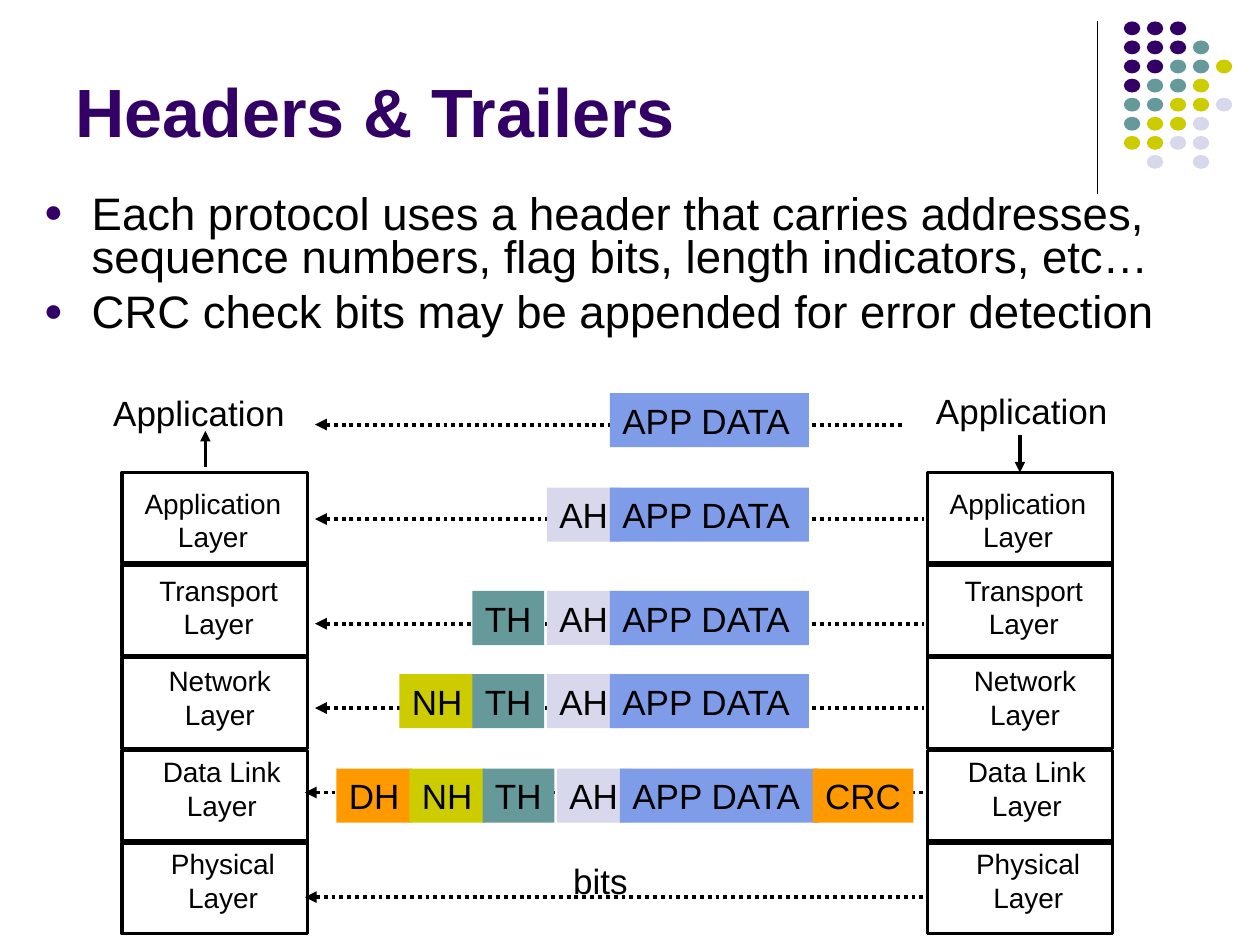
from typing import NamedTuple, Optional

from lxml import etree
from pptx import Presentation, util as u
from pptx.dml.color import RGBColor
from pptx.enum import dml, shapes, text
from pptx.oxml.ns import qn

BLACK = RGBColor(0x00, 0x00, 0x00)
PURPLE = RGBColor(0x33, 0x00, 0x66)
TEAL = RGBColor(0x66, 0x99, 0x99)
LIME = RGBColor(0xCC, 0xCC, 0x00)
LILAC = RGBColor(0xD8, 0xD8, 0xEC)
BLUE = RGBColor(0x7E, 0x9C, 0xE8)
ORANGE = RGBColor(0xFF, 0x99, 0x00)

BOX_W, BOX_H, BOX_TOP = 1.47, 0.72, 3.75
BOX_STEP = 2.94 / 4
LEFT_COL, RIGHT_COL = 0.97, 7.36
DOT_DX, DOT_DY = 0.73 / 4, 1.06 / 7


class Layer(NamedTuple):
    name: str
    dx: float  # label offset from the left of its column
    top: float
    width: float


class Field(NamedTuple):
    left: float
    width: float
    fill: RGBColor


class Row(NamedTuple):
    top: float
    names: list[str]
    shift: float = 0


class Flow(NamedTuple):
    y: float
    left: float = 2.5
    right: float = 7.33


LAYERS = [
    Layer("Application", 0.05, 3.81, 1.34),
    Layer("Transport", 0.17, 4.5, 1.19),
    Layer("Network", 0.24, 5.22, 1.07),
    Layer("Data Link", 0.2, 5.94, 1.18),
    Layer("Physical", 0.26, 6.67, 1.08),
]
FIELDS = {
    "DH": Field(2.59, 0.6, ORANGE),
    "NH": Field(3.17, 0.6, LIME),
    "TH": Field(3.75, 0.57, TEAL),
    "AH": Field(4.34, 0.59, LILAC),
    "APP DATA": Field(4.84, 1.58, BLUE),
    "CRC": Field(6.37, 0.8, ORANGE),
}
ROWS = [
    Row(3.12, ["APP DATA"]),
    Row(3.87, ["AH", "APP DATA"]),
    Row(4.69, ["TH", "AH", "APP DATA"]),
    Row(5.35, ["NH", "TH", "AH", "APP DATA"]),
    Row(6.1, list(FIELDS), 0.08),
]
FLOWS = [Flow(3.37, right=7.17), Flow(4.12), Flow(4.95), Flow(5.62),
         Flow(6.29, 2.42), Flow(7.12, 2.42)]

DOTS = ["PPP", "PPPT", "PPTTY", "PTTY", "TTYYL", "TYYL", "YYLL", " L L"]
HUES = {"P": PURPLE, "T": TEAL, "Y": LIME, "L": LILAC}


def inch(*vals: float) -> list[u.Length]:
    return [u.Inches(v) for v in vals]


def apply(item, form: dict) -> None:
    for key, val in form.items():
        setattr(item, key, val)


def write(frame, lines: list[str], size: float, color=BLACK, bold=False,
          **form) -> None:
    frame.text = "\n".join(lines)
    for para in frame.paragraphs:
        apply(para, form)
        apply(para.font, {"name": "Arial", "size": u.Pt(size), "bold": bold})
        para.font.color.rgb = color


def fit(frame) -> None:
    apply(frame, {"word_wrap": False, "vertical_anchor": text.MSO_ANCHOR.TOP,
                  "auto_size": text.MSO_AUTO_SIZE.SHAPE_TO_FIT_TEXT})


def label(tree, lines: list[str], at: tuple, size: float, align) -> None:
    frame = tree.add_textbox(*inch(*at)).text_frame
    fit(frame)
    write(frame, lines, size, alignment=align)


def solid(tree, kind, at: tuple, fill: Optional[RGBColor] = None):
    """Add a shape: filled without an outline, or hollow with a black one."""
    shape = tree.add_shape(kind, *inch(*at))
    shape.shadow.inherit = False
    if fill is None:
        shape.fill.background()
        shape.line.color.rgb = BLACK
        shape.line.width = u.Pt(2)
    else:
        shape.fill.solid()
        shape.fill.fore_color.rgb = fill
        shape.line.fill.background()
    return shape


def rule(tree, ends: tuple, width: float, tip: str = "", dash=None):
    line = tree.add_connector(shapes.MSO_CONNECTOR.STRAIGHT, *inch(*ends))
    line.line.color.rgb = BLACK
    apply(line.line, {"width": u.Pt(width), "dash_style": dash})
    props = line._element.spPr
    if tip:
        etree.SubElement(props.find(qn("a:ln")), qn(f"a:{tip}"), type="triangle")
    etree.SubElement(props, qn("a:effectLst"))
    return line


def bullet(para) -> None:
    props = para._p.get_or_add_pPr()
    for key, val in {"marL": 0.38, "indent": -0.38}.items():
        props.set(key, str(u.Inches(val)))
    hue = etree.SubElement(props, qn("a:buClr"))
    etree.SubElement(hue, qn("a:srgbClr"), val=str(PURPLE))
    etree.SubElement(props, qn("a:buSzPct"), val="70000")
    etree.SubElement(props, qn("a:buFont"), typeface="Arial")
    etree.SubElement(props, qn("a:buChar"), char="●")


def stack(tree, left: float) -> list:
    """Draw one column of layers and return its boxes."""
    boxes = [solid(tree, shapes.MSO_SHAPE.RECTANGLE,
                   (left, BOX_TOP + i * BOX_STEP, BOX_W, BOX_H))
             for i in range(len(LAYERS))]
    for lay in LAYERS:
        label(tree, [lay.name, "Layer"], (left + lay.dx, lay.top, lay.width, 0.63),
              16, text.PP_ALIGN.CENTER)
    return boxes


def packet(tree, row: Row) -> None:
    group = tree.add_group_shape().shapes
    for name in row.names:
        field = FIELDS[name]
        at = (field.left + row.shift, row.top, field.width, 0.43)
        frame = solid(group, shapes.MSO_SHAPE.RECTANGLE, at, field.fill).text_frame
        fit(frame)
        write(frame, [name], 20, alignment=text.PP_ALIGN.LEFT)


def main() -> None:
    deck = Presentation()
    apply(deck, {"slide_width": u.Inches(10), "slide_height": u.Inches(7.5)})
    slide = deck.slides.add_slide(deck.slide_layouts[5])
    tree = slide.shapes
    left = text.PP_ALIGN.LEFT

    # Corner decoration
    rule(tree, (8.71, 0.17, 8.71, 1.54), 0.75)
    group = tree.add_group_shape().shapes
    for i, codes in enumerate(DOTS):
        for j, code in enumerate(codes):
            if code in HUES:
                at = (8.92 + j * DOT_DX, 0.17 + i * DOT_DY, 0.13, 0.11)
                solid(group, shapes.MSO_SHAPE.OVAL, at, HUES[code])

    # Title
    title = tree.title
    apply(title, dict(zip(("left", "top", "width", "height"),
                          inch(0.5, 0.13, 8.25, 1.12))))
    apply(title.text_frame, {"vertical_anchor": text.MSO_ANCHOR.BOTTOM,
                             "auto_size": text.MSO_AUTO_SIZE.NONE})
    write(title.text_frame, ["Headers & Trailers"], 39, PURPLE, True, alignment=left)

    # Bullets
    body = tree.add_textbox(*inch(0.25, 1.5, 9.5, 1.33)).text_frame
    body.word_wrap = True
    write(body, ["Each protocol uses a header that carries addresses, "
                 "sequence numbers, flag bits, length indicators, etc…",
                 "CRC check bits may be appended for error detection"],
          26, line_spacing=0.8)
    for para in body.paragraphs:
        bullet(para)
    body.paragraphs[1].space_before = u.Pt(6.5)

    # Flows between the two layer columns
    for flow in FLOWS:
        rule(tree, (flow.left, flow.y, flow.right, flow.y), 2.25, "headEnd",
             dml.MSO_LINE.ROUND_DOT)
    stack(tree, LEFT_COL)
    right = stack(tree, RIGHT_COL)

    # Applications above the columns
    label(tree, ["Application"], (0.8, 3.06, 1.64, 0.43), 20, left)
    label(tree, ["Application"], (7.33, 3.04, 1.56, 0.43), 20, left)
    rule(tree, (1.63, 3.42, 1.63, 3.71), 2, "headEnd")
    mid = RIGHT_COL + BOX_W / 2
    down = rule(tree, (mid, 3.45, mid, BOX_TOP), 2, "tailEnd")
    down.end_connect(right[0], 0)

    # Packets growing layer by layer
    for row in ROWS:
        packet(tree, row)
    label(tree, ["bits"], (4.45, 6.77, 0.63, 0.44), 20, left)

    deck.save("out.pptx")


if __name__ == "__main__":
    main()
